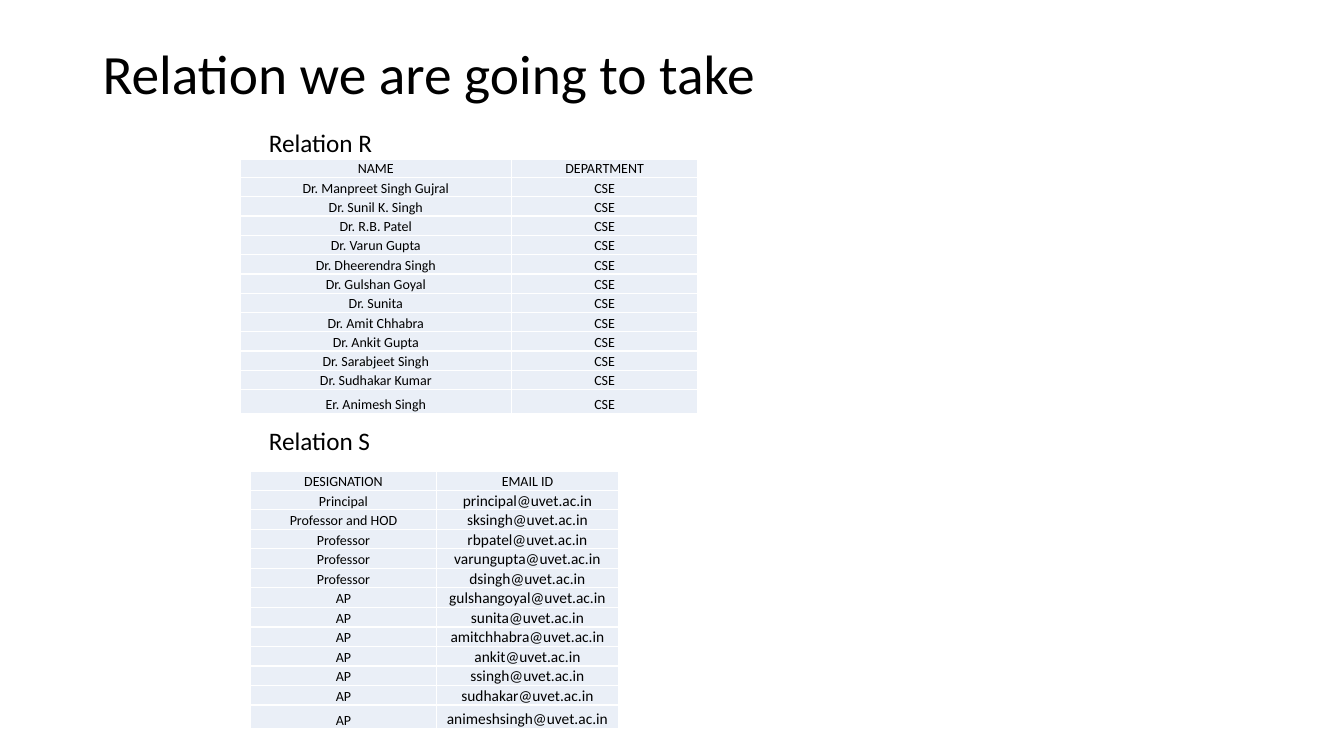
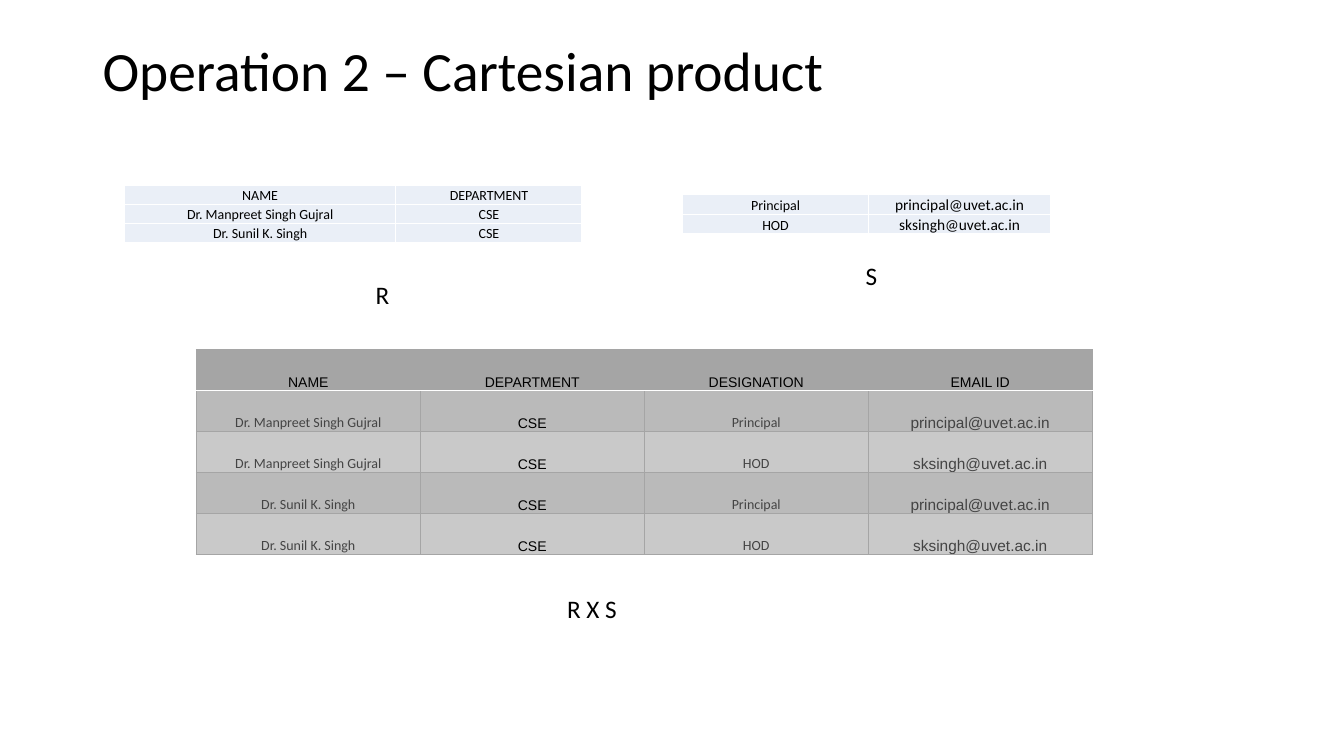
from dataclasses import dataclass
from itertools import product
from typing import NamedTuple

from lxml.etree import SubElement
from pptx import Presentation
from pptx.dml.color import RGBColor
from pptx.enum.text import MSO_ANCHOR, MSO_AUTO_SIZE, PP_ALIGN
from pptx.oxml.ns import qn
from pptx.util import Pt


class TextStyle(NamedTuple):
    size: float
    font: str = "Calibri"
    color: str = "000000"


class Line(NamedTuple):
    color: str
    width: float


@dataclass(frozen=True)
class Theme:
    # Type
    title: TextStyle = TextStyle(39.6)
    label: TextStyle = TextStyle(18)
    cell: TextStyle = TextStyle(10)
    email: TextStyle = TextStyle(11)
    product_plain: TextStyle = TextStyle(10, "Arial")
    product_cell: TextStyle = TextStyle(10, "Calibri", "444444")
    product_email: TextStyle = TextStyle(11, "Arial", "444444")
    # Fills and lines
    light_fill: str = "EAEFF7"
    header_fill: str = "A5A5A5"
    band_fills: tuple = ("BABABA", "C9C9C9")
    white_line: Line = Line("FFFFFF", 1)
    gray_line: Line = Line("A5A5A5", 0.5)


THEME = Theme()

# Sizes in points
FIRST_ROW, ROW, LAST_ROW = 13.2, 13.8, 17.2
R_COLUMNS = (194, 133)
S_COLUMNS = (133, 130)
PRODUCT_COLUMNS = (160,) * 4
PRODUCT_ROW = 29.3

# Relations
R_HEADER = ("NAME", "DEPARTMENT")
S_HEADER = ("DESIGNATION", "EMAIL ID")
NAMES = (
    "Dr. Manpreet Singh Gujral", "Dr. Sunil K. Singh", "Dr. R.B. Patel",
    "Dr. Varun Gupta", "Dr. Dheerendra Singh", "Dr. Gulshan Goyal",
    "Dr. Sunita", "Dr. Amit Chhabra", "Dr. Ankit Gupta",
    "Dr. Sarabjeet Singh", "Dr. Sudhakar Kumar", "Er. Animesh Singh",
)
DESIGNATIONS = ("Principal", "Professor and HOD") + ("Professor",) * 3 + ("AP",) * 7
ACCOUNTS = (
    "principal", "sksingh", "rbpatel", "varungupta", "dsingh", "gulshangoyal",
    "sunita", "amitchhabra", "ankit", "ssingh", "sudhakar", "animeshsingh",
)
EMAILS = [f"{account}@uvet.ac.in" for account in ACCOUNTS]
RELATION_R = [(name, "CSE") for name in NAMES]
RELATION_S = list(zip(DESIGNATIONS, EMAILS))


def style_runs(paragraph, style):
    for run in paragraph.runs:
        run.font.size = Pt(style.size)
        run.font.name = style.font
        run.font.color.rgb = RGBColor.from_string(style.color)


def add_text(slide, text, left, top, width, height, style):
    shape = slide.shapes.add_textbox(Pt(left), Pt(top), Pt(width), Pt(height))
    text_frame = shape.text_frame
    text_frame.word_wrap = True
    text_frame.text = text
    style_runs(text_frame.paragraphs[0], style)
    return text_frame


def add_title(slide, text, width, height):
    text_frame = add_text(slide, text, 66.2, 28.8, width, height, THEME.title)
    text_frame.vertical_anchor = MSO_ANCHOR.MIDDLE
    text_frame.paragraphs[0].line_spacing = 0.9


def add_label(slide, text, left, top, width):
    text_frame = add_text(slide, text, left, top, width, 29, THEME.label)
    text_frame.auto_size = MSO_AUTO_SIZE.SHAPE_TO_FIT_TEXT


def set_borders(cell, left, right, top, bottom):
    """Draw the four cell borders; call before the fill is set."""
    properties = cell._tc.get_or_add_tcPr()
    for tag, line in (("a:lnL", left), ("a:lnR", right), ("a:lnT", top), ("a:lnB", bottom)):
        border = SubElement(properties, qn(tag), w=str(Pt(line.width)))
        fill = SubElement(border, qn("a:solidFill"))
        SubElement(fill, qn("a:srgbClr"), val=line.color)


def fill_cell(cell, text, style, fill):
    cell.margin_left = cell.margin_right = cell.margin_top = Pt(0.72)
    cell.margin_bottom = 0
    cell.vertical_anchor = MSO_ANCHOR.BOTTOM
    cell.fill.solid()
    cell.fill.fore_color.rgb = RGBColor.from_string(fill)
    cell.text = text
    paragraph = cell.text_frame.paragraphs[0]
    paragraph.alignment = PP_ALIGN.CENTER
    style_runs(paragraph, style)


def add_grid(slide, left, top, columns, heights, row_count):
    """Add a table without style bands, ready for its cells."""
    shape = slide.shapes.add_table(
        row_count, len(columns), Pt(left), Pt(top), Pt(sum(columns)), Pt(sum(heights)))
    table = shape.table
    table.first_row = table.horz_banding = False
    for column, width in zip(table.columns, columns):
        column.width = Pt(width)
    for row, height in zip(table.rows, heights):
        row.height = Pt(height)
    return table


def add_relation(slide, rows, left, top, columns, heights):
    table = add_grid(slide, left, top, columns, heights, len(rows))
    for row, values in zip(table.rows, rows):
        for cell, text in zip(row.cells, values):
            set_borders(cell, *(THEME.white_line,) * 4)
            style = THEME.email if "@" in text else THEME.cell
            fill_cell(cell, text, style, THEME.light_fill)


def add_product(slide, rows, left, top):
    heights = [PRODUCT_ROW] * len(rows)
    table = add_grid(slide, left, top, PRODUCT_COLUMNS, heights, len(rows))
    header_styles = (THEME.product_plain,) * 4
    body_styles = (THEME.product_cell, THEME.product_plain,
                   THEME.product_cell, THEME.product_email)
    gray, white = THEME.gray_line, THEME.white_line
    for index, (row, values) in enumerate(zip(table.rows, rows)):
        styles = body_styles if index else header_styles
        fill = THEME.band_fills[(index - 1) % 2] if index else THEME.header_fill
        # A white line parts the header from the body
        top_line = white if index == 1 else gray
        bottom_line = white if index == 0 else gray
        for cell, text, style in zip(row.cells, values, styles):
            set_borders(cell, gray, gray, top_line, bottom_line)
            fill_cell(cell, text, style, fill)


def build_relations(slide):
    add_title(slide, "Relation we are going to take", 632, 51)
    heights = [FIRST_ROW] + [ROW] * (len(NAMES) - 1) + [LAST_ROW]
    add_label(slide, "Relation R", 185, 87.1, 235)
    add_label(slide, "Relation S", 185, 300.2, 320)
    add_relation(slide, [R_HEADER] + RELATION_R, 171.4, 113.6, R_COLUMNS, heights)
    add_relation(slide, [S_HEADER] + RELATION_S, 178.8, 337, S_COLUMNS, heights)


def build_cartesian_product(slide):
    add_title(slide, "Operation 2 – Cartesian product", 690, 47)
    # The two factors
    r_rows = RELATION_R[:2]
    s_rows = list(zip(("Principal", "HOD"), EMAILS))
    add_relation(slide, [R_HEADER] + r_rows, 88.8, 132.6, R_COLUMNS, [FIRST_ROW, ROW, ROW])
    add_relation(slide, s_rows, 487.5, 139.2, S_COLUMNS, [ROW, ROW])
    # Every row of R with every row of S
    product_rows = [r_row + s_row for r_row, s_row in product(r_rows, s_rows)]
    add_product(slide, [R_HEADER + S_HEADER] + product_rows, 140.2, 249.8)
    add_label(slide, "R", 261.2, 196, 26)
    add_label(slide, "S", 611.2, 182.2, 26)
    add_label(slide, "R X S", 398, 420, 72)


def main():
    presentation = Presentation()
    presentation.slide_width = Pt(960)
    presentation.slide_height = Pt(540)
    blank_layout = presentation.slide_layouts[6]
    for build in (build_relations, build_cartesian_product):
        build(presentation.slides.add_slide(blank_layout))
    presentation.save("out.pptx")


if __name__ == "__main__":
    main()
